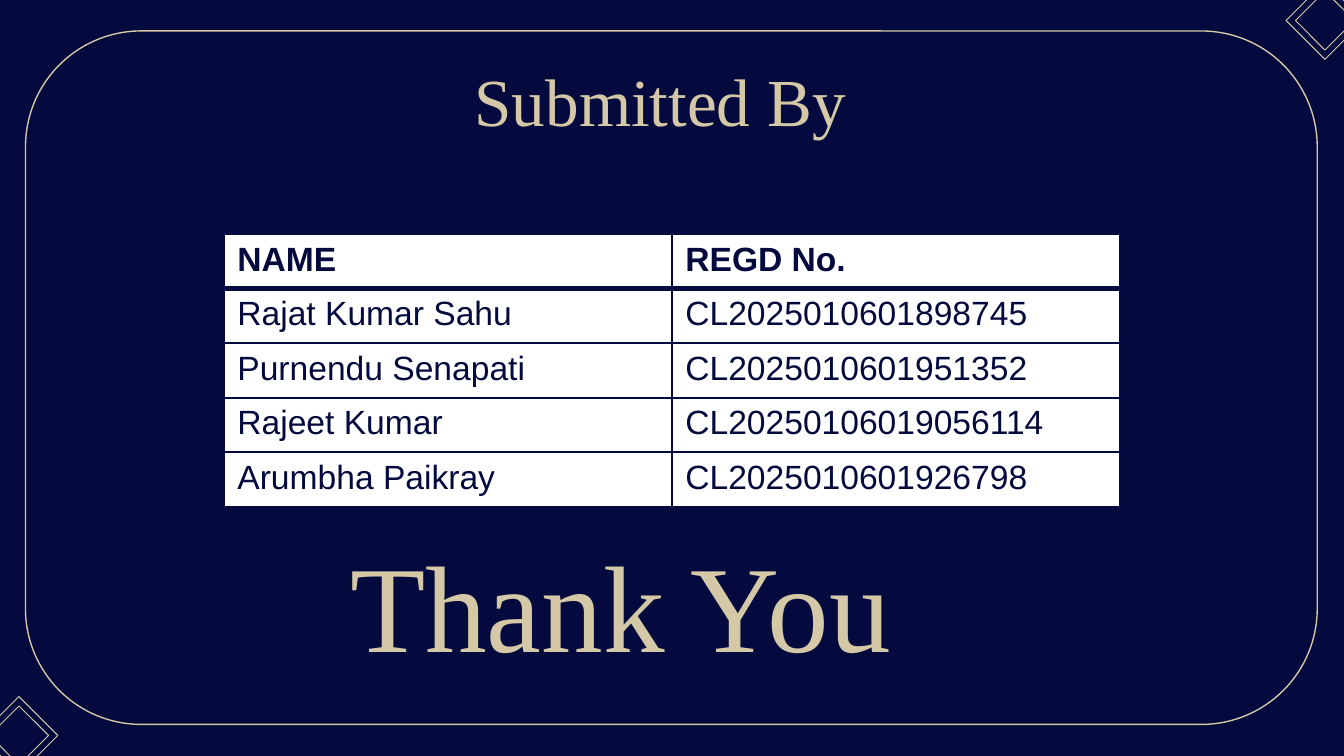
import lxml.etree
import pptx
import pptx.dml.color
import pptx.enum.shapes
import pptx.enum.text
import pptx.oxml.ns
import pptx.util

Pt = pptx.util.Pt
SHAPES = pptx.enum.shapes.MSO_SHAPE

WIDTH, HEIGHT = 720, 405
NAVY, SAND, WHITE = "040A3D", "D4C8A6", "FFFFFF"
SERIF, SANS = "Times New Roman", "Arial"

MEMBERS = [
    ("NAME", "REGD No."),
    ("Rajat Kumar Sahu", "CL2025010601898745"),
    ("Purnendu Senapati", "CL2025010601951352"),
    ("Rajeet Kumar", "CL20250106019056114"),
    ("Arumbha Paikray", "CL2025010601926798"),
]


def color(value):
    return pptx.dml.color.RGBColor.from_string(value)


def set_values(target, values):
    for name, value in values.items():
        setattr(target, name, value)


def place(shape, box):
    lengths = [Pt(length) for length in box]
    set_values(shape, dict(zip(("left", "top", "width", "height"), lengths)))


def write(text_frame, text, font, size, hex_color, bold=False):
    paragraph = text_frame.paragraphs[0]
    paragraph.alignment = pptx.enum.text.PP_ALIGN.LEFT
    run = paragraph.add_run()
    run.text = text
    set_values(run.font, {"name": font, "size": Pt(size), "bold": bold})
    run.font.color.rgb = color(hex_color)


def add_heading(shape, box, text, size):
    """Place a title or text box and write one serif line in it."""
    place(shape, box)
    set_values(shape.text_frame, {
        "word_wrap": True,
        "auto_size": pptx.enum.text.MSO_AUTO_SIZE.SHAPE_TO_FIT_TEXT,
        "vertical_anchor": pptx.enum.text.MSO_ANCHOR.TOP,
    })
    write(shape.text_frame, text, SERIF, size, SAND)


def add_outline(slide, kind, box, line_width):
    shape = slide.shapes.add_shape(kind, *[Pt(length) for length in box])
    shape.shadow.inherit = False
    shape.fill.background()
    shape.line.color.rgb = color(SAND)
    shape.line.width = Pt(line_width)
    return shape


def add_frame(slide, box):
    frame = add_outline(slide, SHAPES.ROUNDED_RECTANGLE, box, 0.75)
    frame.adjustments[0] = 0.167


def add_corner_diamonds(slide, center_x, center_y):
    for radius in (20.8, 15.8):
        box = (center_x - radius, center_y - radius, 2 * radius, 2 * radius)
        add_outline(slide, SHAPES.DIAMOND, box, 0.5)


def add_borders(cell, widths):
    properties = cell._tc.get_or_add_tcPr()
    for side, width in widths.items():
        line = lxml.etree.SubElement(
            properties, pptx.oxml.ns.qn(f"a:ln{side}"), w=str(Pt(width)))
        fill = lxml.etree.SubElement(line, pptx.oxml.ns.qn("a:solidFill"))
        lxml.etree.SubElement(fill, pptx.oxml.ns.qn("a:srgbClr"), val=NAVY)


def add_member_table(slide, box):
    row_count, column_count = len(MEMBERS), len(MEMBERS[0])
    table = slide.shapes.add_table(
        row_count, column_count, *[Pt(length) for length in box]).table
    table.horz_banding = False
    for row_index, row in enumerate(MEMBERS):
        table.rows[row_index].height = Pt(box[3] / row_count)
        for column_index, text in enumerate(row):
            cell = table.cell(row_index, column_index)
            add_borders(cell, {"L": 1, "R": 1,
                               "T": 3 if row_index == 1 else 1,
                               "B": 3 if row_index == 0 else 1})
            cell.fill.solid()
            cell.fill.fore_color.rgb = color(WHITE)
            write(cell.text_frame, text, SANS, 18, NAVY, bold=row_index == 0)


def add_closing_slide(presentation):
    slide = presentation.slides.add_slide(presentation.slide_layouts[5])
    slide.background.fill.solid()
    slide.background.fill.fore_color.rgb = color(NAVY)
    add_frame(slide, (13.7, 16.6, 692, 371.5))
    add_corner_diamonds(slide, 10.2, 394)
    add_corner_diamonds(slide, WIDTH - 10.2, 11)
    closing = slide.shapes.add_textbox(0, 0, 0, 0)
    add_heading(closing, (180.5, 280, 358.5, 87), "Thank You", 66)
    add_member_table(slide, (120, 125.5, 480, 146))
    add_heading(slide.shapes.title, (247, 28, 226, 51), "Submitted By", 36)


def main():
    presentation = pptx.Presentation()
    set_values(presentation,
               {"slide_width": Pt(WIDTH), "slide_height": Pt(HEIGHT)})
    add_closing_slide(presentation)
    presentation.save("out.pptx")


if __name__ == "__main__":
    main()
